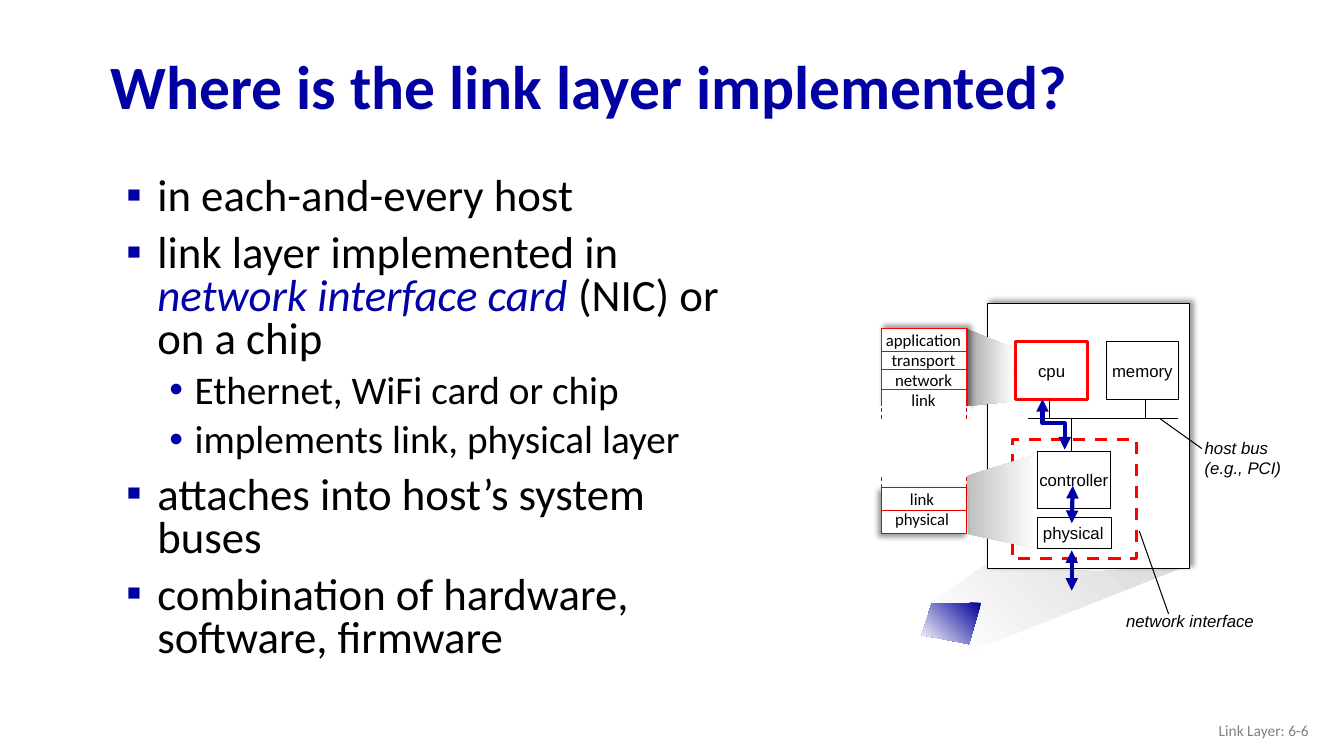
from dataclasses import dataclass

from lxml.etree import SubElement
from pptx import Presentation
from pptx.dml.color import RGBColor
from pptx.enum.dml import MSO_LINE
from pptx.enum.shapes import MSO_CONNECTOR, MSO_SHAPE
from pptx.enum.text import MSO_ANCHOR, MSO_AUTO_SIZE, PP_ALIGN
from pptx.oxml.ns import qn
from pptx.util import Pt

PX = 9144


@dataclass(frozen=True)
class Theme:
    title: str = "0000A3"
    accent: str = "0000A8"
    chip: str = "000099"
    black: str = "000000"
    white: str = "FFFFFF"
    red: str = "FF0000"
    dark_red: str = "E40000"
    pale: str = "D9D9D9"
    silver: str = "BFBFBF"
    gray: str = "A6A6A6"
    footer: str = "808080"
    sans: str = "Calibri"
    diagram: str = "Arial"
    title_size: int = 44
    body_sizes: tuple = (32, 28)
    label_size: int = 12
    footer_size: int = 11


THEME = Theme()

TITLE = "Where is the link layer implemented?"
FOOTER = "Link Layer: 6-6"

BULLETS = [
    (0, [("in each-and-every host", False)]),
    (0, [("link layer implemented in ", False), ("network interface card", True),
         (" (NIC) or on a chip", False)]),
    (1, [("Ethernet, WiFi card or chip", False)]),
    (1, [("implements link, physical layer", False)]),
    (0, [("attaches into host’s system buses", False)]),
    (0, [("combination of hardware, software, firmware", False)]),
]
LEVELS = [
    dict(margin=39, hang=31, line=0.8, before=10, mark="▪", color=THEME.title),
    dict(margin=76, hang=25, line=0.9, before=5, mark="•", color=THEME.accent),
]

HOST_FAN = ([(928, 601), (931, 593), (976, 561), (1089, 567), (1180, 560), (960, 647)],
            THEME.white, THEME.pale, 45)
FANS = [
    ([(1028, 451), (959, 472), (960, 530), (1028, 544)], THEME.silver, THEME.white, 0),
    ([(1004, 345), (958, 326), (959, 403), (1006, 398)], THEME.gray, THEME.white, 0),
    ([(973, 598), (924, 599), (914, 630), (961, 639)], THEME.chip, THEME.white, 225),
]

HOST_PANELS = [
    dict(at=(979, 301, 201, 263), shadow=315),
    dict(at=(1029, 513, 73, 31)),
    dict(at=(1029, 448, 72, 57), text="controller"),
    dict(at=(1007, 339, 72, 57), text="cpu", line=THEME.red, width=2.25),
    dict(at=(1097, 339, 72, 57), text="memory"),
    dict(at=(1004, 436, 123, 118), line=THEME.red, width=2.25, fill=None, dash=True),
]
STACK_PANELS = [
    dict(at=(874, 484, 85, 45), line=THEME.dark_red, shadow=135),
    dict(at=(874, 326, 85, 80), line=THEME.red, width=1, shadow=315),
    dict(at=(867, 403, 96, 20), line=None),
]

LABELS = [
    dict(at=(1024, 514, 81, 50), lines=["physical"]),
    dict(at=(1185, 429, 114, 50), lines=["host bus", "(e.g., PCI)"], aside=True),
    dict(at=(1107, 601, 148, 30), lines=["network interface"], aside=True),
    dict(at=(868, 322, 96, 91), lines=["application", "transport", "network", "link"],
         font=THEME.sans),
    dict(at=(877, 480, 75, 51), lines=["link", "physical"], font=THEME.sans),
]

WIRES = [
    (1020, 415, 1168, 415),
    (1063, 448, 1063, 416),
    (1041, 415, 1041, 396),
    (1136, 415, 1136, 396),
    (1192, 445, 1150, 415),
    (1159, 609, 1130, 527),
]
STACK_SIDES = (874, 959)
DIVIDERS = [(349, THEME.dark_red), (367, THEME.dark_red), (386, THEME.red), (506, THEME.dark_red)]
TORN_EDGES = [(405, 416), (473, 484)]
ARROWS = [(1064, 482, 1063, 519), (1063, 546, 1063, 586)]
ELBOW = [(1034, 396), (1034, 420), (1056, 420), (1056, 446)]


def px(*lengths):
    return [length * PX for length in lengths]


def rgb(color):
    return RGBColor.from_string(color)


def add_run(para, text, font, size, color, bold=False, italic=False):
    span = para.add_run()
    span.text = text
    span.font.name, span.font.size = font, Pt(size)
    span.font.bold, span.font.italic = bold, italic
    span.font.color.rgb = rgb(color)


def set_line(line, color, width, dash=False, arrows=False):
    line.color.rgb = rgb(color)
    line.width = Pt(width)
    if dash:
        line.dash_style = MSO_LINE.DASH
    if arrows:
        outline = line.fill._xPr
        for end in ("a:headEnd", "a:tailEnd"):
            SubElement(outline, qn(end), type="triangle")


def place(box, at):
    box.left, box.top, box.width, box.height = px(*at)


def add_fan(page, points, start, finish, angle):
    builder = page.shapes.build_freeform(*points[0], scale=PX)
    builder.add_line_segments(points[1:], close=True)
    fan = builder.convert_to_shape()
    fan.shadow.inherit = False
    fan.line.fill.background()
    fan.fill.gradient()
    fan.fill.gradient_angle = angle
    for stop, color in zip(fan.fill.gradient_stops, (start, finish)):
        stop.color.rgb = rgb(color)


def add_panel(page, at, text=None, line=THEME.black, width=0.75, fill=THEME.white,
              dash=False, shadow=None):
    panel = page.shapes.add_shape(MSO_SHAPE.RECTANGLE, *px(*at))
    panel.shadow.inherit = False
    if fill:
        panel.fill.solid()
        panel.fill.fore_color.rgb = rgb(fill)
    else:
        panel.fill.background()
    if line:
        set_line(panel.line, line, width, dash)
    else:
        panel.line.fill.background()
    if shadow is not None:
        effects = panel._element.spPr.find(qn("a:effectLst"))
        cast = SubElement(effects, qn("a:outerShdw"), blurRad=str(Pt(4)), dist=str(Pt(3)),
                          dir=str(shadow * 60000), algn="ctr", rotWithShape="0")
        shade = SubElement(cast, qn("a:srgbClr"), val=THEME.black)
        SubElement(shade, qn("a:alpha"), val="40000")
    if text:
        frame = panel.text_frame
        frame.word_wrap = False
        frame.vertical_anchor = MSO_ANCHOR.MIDDLE
        para = frame.paragraphs[0]
        para.alignment = PP_ALIGN.CENTER
        add_run(para, text, THEME.diagram, THEME.label_size, THEME.black)


def add_label(page, at, lines, font=THEME.diagram, aside=False):
    frame = page.shapes.add_textbox(*px(*at)).text_frame
    frame.word_wrap = aside
    for index, text in enumerate(lines):
        para = frame.add_paragraph() if index else frame.paragraphs[0]
        para.alignment = PP_ALIGN.LEFT if aside else PP_ALIGN.CENTER
        add_run(para, text, font, THEME.label_size, THEME.black, italic=aside)


def add_wire(page, ends, color=THEME.black, width=0.75, dash=False, arrows=False):
    wire = page.shapes.add_connector(MSO_CONNECTOR.STRAIGHT, *px(*ends))
    set_line(wire.line, color, width, dash, arrows)
    SubElement(wire._element.spPr, qn("a:effectLst"))


def add_elbow(page, points):
    builder = page.shapes.build_freeform(*points[0], scale=PX)
    builder.add_line_segments(points[1:], close=False)
    elbow = builder.convert_to_shape()
    elbow.shadow.inherit = False
    elbow.fill.background()
    set_line(elbow.line, THEME.accent, 3, arrows=True)


def fill_title(box):
    place(box, (100, 40, 1150, 98))
    frame = box.text_frame
    frame.auto_size = MSO_AUTO_SIZE.NONE
    frame.vertical_anchor = MSO_ANCHOR.MIDDLE
    para = frame.paragraphs[0]
    para.alignment, para.line_spacing = PP_ALIGN.LEFT, 0.9
    add_run(para, TITLE, THEME.sans, THEME.title_size, THEME.title, bold=True)


def fill_body(box):
    place(box, (107, 171, 635, 510))
    frame = box.text_frame
    frame.auto_size = MSO_AUTO_SIZE.NONE
    for index, (level, spans) in enumerate(BULLETS):
        style = LEVELS[level]
        para = frame.add_paragraph() if index else frame.paragraphs[0]
        para.level = level
        props = para._p.get_or_add_pPr()
        props.set("marL", str(style["margin"] * PX))
        props.set("indent", str(-style["hang"] * PX))
        SubElement(SubElement(props, qn("a:buClr")), qn("a:srgbClr"), val=style["color"])
        SubElement(props, qn("a:buFont"), typeface=THEME.diagram)
        SubElement(props, qn("a:buChar"), char=style["mark"])
        para.line_spacing = style["line"]
        para.space_before = Pt(style["before"] if index else 0)
        for text, stressed in spans:
            add_run(para, text, THEME.sans, THEME.body_sizes[level],
                    THEME.accent if stressed else THEME.black, italic=stressed)


def add_footer(page):
    frame = page.shapes.add_textbox(*px(1008, 705, 300, 40)).text_frame
    frame.word_wrap = True
    frame.vertical_anchor = MSO_ANCHOR.MIDDLE
    para = frame.paragraphs[0]
    para.alignment = PP_ALIGN.RIGHT
    add_run(para, FOOTER, THEME.sans, THEME.footer_size, THEME.footer)


def draw_diagram(page):
    add_fan(page, *HOST_FAN)
    for panel in HOST_PANELS:
        add_panel(page, **panel)
    for fan in FANS:
        add_fan(page, *fan)
    for panel in STACK_PANELS:
        add_panel(page, **panel)
    for label in LABELS:
        add_label(page, **label)
    for ends in WIRES:
        add_wire(page, ends)
    left, right = STACK_SIDES
    for y, color in DIVIDERS:
        add_wire(page, (left, y, right, y), color)
    for top, bottom in TORN_EDGES:
        for x in STACK_SIDES:
            add_wire(page, (x, top, x, bottom), THEME.dark_red, dash=True)
    for ends in ARROWS:
        add_wire(page, ends, THEME.accent, 3, arrows=True)
    add_elbow(page, ELBOW)


def main():
    deck = Presentation()
    deck.slide_width, deck.slide_height = px(1333, 750)
    page = deck.slides.add_slide(deck.slide_layouts[1])
    fill_title(page.shapes.title)
    fill_body(page.placeholders[1])
    draw_diagram(page)
    add_footer(page)
    deck.save("out.pptx")


if __name__ == "__main__":
    main()
